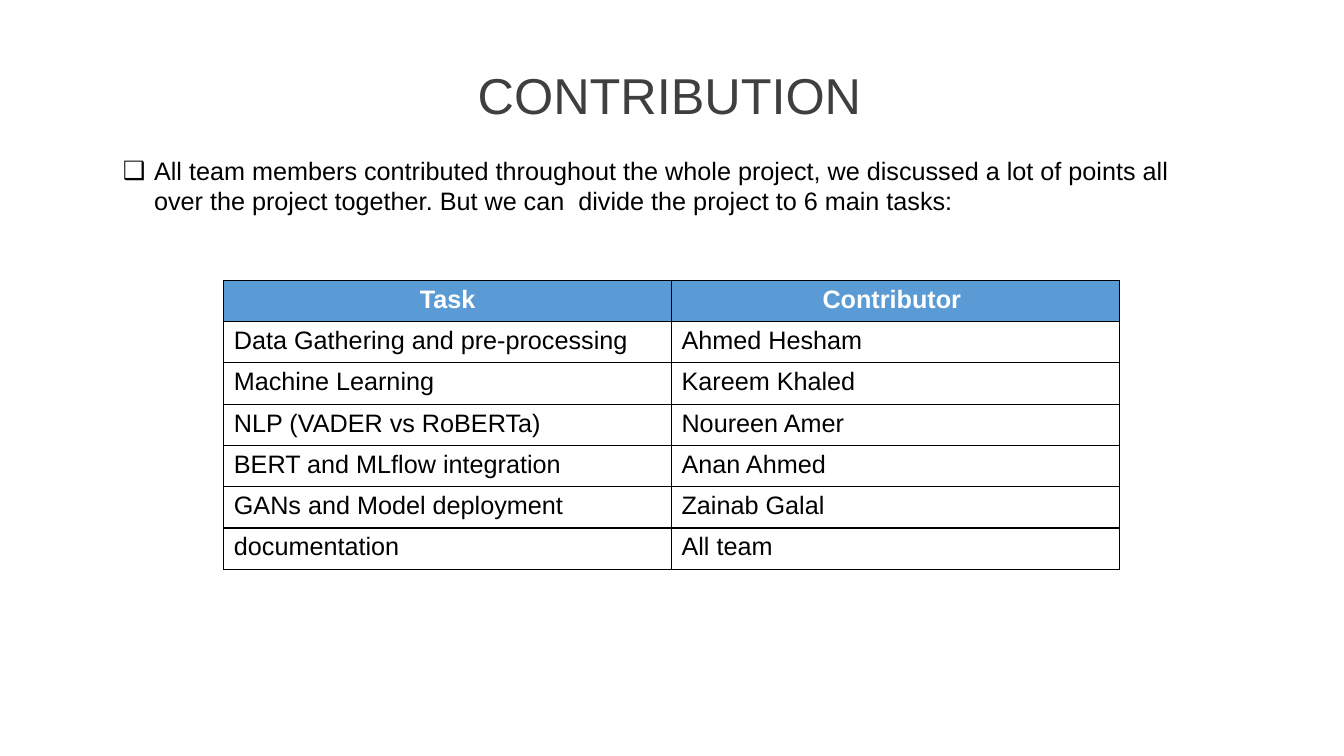
"""Build the contribution slide with its task table."""
from lxml.etree import SubElement
from pptx import Presentation
from pptx.dml.color import RGBColor
from pptx.enum.text import MSO_ANCHOR as Anchor, PP_ALIGN as Align
from pptx.oxml.ns import qn
from pptx.util import Inches, Pt

BLACK = RGBColor(0x00, 0x00, 0x00)
WHITE = RGBColor(0xFF, 0xFF, 0xFF)
CHARCOAL = RGBColor(0x3F, 0x3F, 0x3F)
BLUE = RGBColor(0x5B, 0x9B, 0xD5)

INTRODUCTION = (
    "All team members contributed throughout the whole project, we discussed a lot of points all "
    "over the project together. But we can  divide the project to 6 main tasks:"
)
TASKS = [
    ("Task", "Contributor "),
    ("Data Gathering and pre-processing", "Ahmed Hesham"),
    ("Machine Learning", "Kareem Khaled"),
    ("NLP (VADER vs RoBERTa)", "Noureen Amer"),
    ("BERT and MLflow integration", "Anan Ahmed"),
    ("GANs and Model deployment", "Zainab Galal"),
    ("documentation", "All team"),
]


class SlideBuilder:
    """Hold the text style and the current slide."""

    font_name = "Arial"
    body_size = 18
    title_size = 36

    def __init__(self, slide):
        self.slide = slide

    def style(self, paragraph, size, color, bold=False):
        for run in paragraph.runs:
            font = run.font
            font.name, font.size, font.bold = self.font_name, Pt(size), bold
            font.color.rgb = color

    def text_box(self, text, left, top, width, height):
        shape = self.slide.shapes.add_textbox(
            Inches(left), Inches(top), Inches(width), Inches(height))
        text_frame = shape.text_frame
        text_frame.word_wrap = True
        text_frame.text = text
        return text_frame

    def title(self, text, *box):
        text_frame = self.text_box(text, *box)
        text_frame.vertical_anchor = Anchor.MIDDLE
        paragraph = text_frame.paragraphs[0]
        paragraph.line_spacing = 0.9
        self.style(paragraph, self.title_size, CHARCOAL)

    def bullet(self, text, *box):
        paragraph = self.text_box(text, *box).paragraphs[0]
        indent = Inches(0.31)
        properties = paragraph._p.get_or_add_pPr()
        properties.set("marL", str(indent))
        properties.set("indent", str(-indent))
        color = SubElement(properties, qn("a:buClr"))
        SubElement(color, qn("a:srgbClr"), val=str(BLACK))
        SubElement(properties, qn("a:buFont"), typeface=self.font_name)
        SubElement(properties, qn("a:buChar"), char="❑")
        self.style(paragraph, self.body_size, BLACK)

    def borders(self, cell):
        properties = cell._tc.get_or_add_tcPr()
        for side in ("L", "R", "T", "B"):
            line = SubElement(properties, qn(f"a:ln{side}"), w=str(Pt(1)))
            fill = SubElement(line, qn("a:solidFill"))
            SubElement(fill, qn("a:srgbClr"), val=str(BLACK))

    def table(self, rows, left, top, column_width, row_height):
        columns = len(rows[0])
        table = self.slide.shapes.add_table(
            len(rows), columns, Inches(left), Inches(top),
            Inches(column_width * columns), Inches(row_height * len(rows))).table
        for row_index, row in enumerate(rows):
            is_header = row_index == 0
            for column_index, text in enumerate(row):
                cell = table.cell(row_index, column_index)
                cell.text = text
                self.borders(cell)
                paragraph = cell.text_frame.paragraphs[0]
                if is_header:
                    cell.fill.solid()
                    cell.fill.fore_color.rgb = BLUE
                    paragraph.alignment = Align.CENTER
                else:
                    cell.fill.background()
                self.style(paragraph, self.body_size, WHITE if is_header else BLACK, is_header)


def main():
    presentation = Presentation()
    presentation.slide_width = Inches(13.33)
    presentation.slide_height = Inches(7.5)
    builder = SlideBuilder(presentation.slides.add_slide(presentation.slide_layouts[6]))
    builder.title("CONTRIBUTION", 4.64, 0.46, 4.57, 1.03)
    builder.bullet(INTRODUCTION, 1.12, 1.49, 11.01, 0.71)
    builder.table(TASKS, 2.22, 2.78, 4.44, 0.41)
    presentation.save("out.pptx")


if __name__ == "__main__":
    main()
